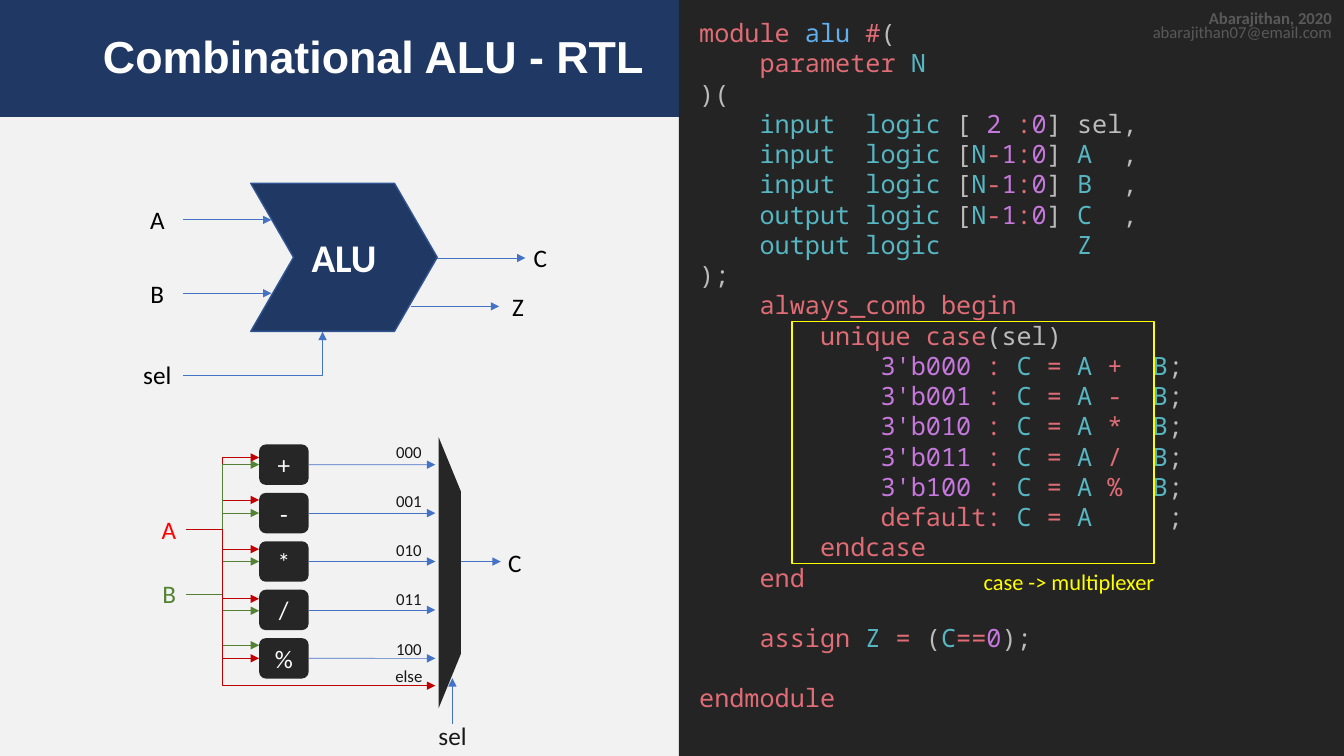
from lxml.etree import SubElement
from pptx import Presentation
from pptx.dml.color import RGBColor
from pptx.enum.shapes import MSO_CONNECTOR, MSO_SHAPE
from pptx.enum.text import MSO_ANCHOR, MSO_AUTO_SIZE, PP_ALIGN
from pptx.oxml.ns import qn
from pptx.util import Cm, Pt

NAVY, DARK, BLUE, RED, GREEN = "203864", "262626", "4472C4", "C00000", "548235"
WHITE, BLACK, INK, YELLOW = "FFFFFF", "000000", "181717", "FFFF00"

CODE_COLOURS = {"r": "E06C75", "b": "61AFEF", "w": "BBBBBB", "t": "56B6C2", "p": "C678DD"}
RANGE = "w: [|t:N|r:-|p:1|r::|p:0|w:] "
OPERATORS = "+-*/%"
CODE = [
    "r:module |b:alu |r:#|w:(",
    "r:    parameter |t:N",
    "w:)(",
    "t:    input  logic|w: [ |p:2 |r::|p:0|w:] sel,",
    f"t:    input  logic|{RANGE}|t:A|w:  ,",
    f"t:    input  logic|{RANGE}|t:B|w:  ,",
    f"t:    output logic|{RANGE}|t:C|w:  ,",
    "t:    output logic         Z",
    "w:);",
    "r:    always_comb begin",
    "r:        unique case|w:(sel)",
    *[f"p:            3'b{number:03b} |r:: |t:C |r:= |t:A |r:{operator}  |t:B|w:;"
      for number, operator in enumerate(OPERATORS)],
    "r:            default: |t:C |r:= |t:A|w:     ;",
    "r:        endcase",
    "r:    end",
    "r:    assign |t:Z |r:=|w: (|t:C|r:==|p:0|w:);",
    "r:endmodule",
]
LINES_AFTER_GAP = CODE[-2:]
CODE_LINE_HEIGHT = Pt(21.6)


def colour(value):
    return RGBColor.from_string(value)


def apply(target, formats):
    for name, value in formats.items():
        setattr(target, name, value)


def add_run(paragraph, text, size, value, font="Calibri", bold=False):
    run = paragraph.add_run()
    run.text = text
    apply(run.font, {"name": font, "size": Pt(size), "bold": bold})
    run.font.color.rgb = colour(value)


def add_block(slide, kind, box, fill=None, line=None):
    shape = slide.shapes.add_shape(kind, *map(Cm, box))
    shape.shadow.inherit = False
    if fill:
        shape.fill.solid()
        shape.fill.fore_color.rgb = colour(fill)
    else:
        shape.fill.background()
    if line:
        shape.line.color.rgb = colour(line)
        shape.line.width = Pt(1)
    else:
        shape.line.fill.background()
    return shape


def add_caption(shape, text, size, bold=False):
    shape.text_frame.vertical_anchor = MSO_ANCHOR.MIDDLE
    paragraph = shape.text_frame.paragraphs[0]
    paragraph.alignment = PP_ALIGN.CENTER
    add_run(paragraph, text, size, WHITE, bold=bold)


def add_label(slide, text, left, top, size=18, value=BLACK, align=PP_ALIGN.CENTER, width=1.57):
    label = slide.shapes.add_textbox(Cm(left), Cm(top), Cm(width), Cm(size * 0.056))
    label.text_frame.word_wrap = True
    paragraph = label.text_frame.paragraphs[0]
    paragraph.alignment = align
    add_run(paragraph, text, size, value)


def add_arrow(slide, start, end, value=BLUE, kind=MSO_CONNECTOR.STRAIGHT, preset=None, bend=None):
    arrow = slide.shapes.add_connector(kind, *map(Cm, (*start, *end)))
    arrow.line.color.rgb = colour(value)
    arrow.line.width = Pt(0.5)
    properties = arrow.element.spPr
    SubElement(properties.find(qn("a:ln")), qn("a:tailEnd"), type="triangle")
    SubElement(properties, qn("a:effectLst"))
    geometry = properties.find(qn("a:prstGeom"))
    if preset:
        geometry.set("prst", preset)
    if bend:
        guides = geometry.find(qn("a:avLst"))
        if guides is None:
            guides = SubElement(geometry, qn("a:avLst"))
        SubElement(guides, qn("a:gd"), name="adj1", fmla=f"val {bend}")
    return arrow


def add_title(slide):
    title = slide.shapes.title
    apply(title, {"left": Cm(2.34), "top": Cm(0), "width": Cm(29.21), "height": Cm(2.95)})
    frame = title.text_frame
    apply(frame, {"auto_size": MSO_AUTO_SIZE.NONE, "vertical_anchor": MSO_ANCHOR.MIDDLE})
    paragraph = frame.paragraphs[0]
    apply(paragraph, {"alignment": PP_ALIGN.LEFT, "line_spacing": 0.9})
    add_run(paragraph, "Combinational ALU - RTL", 32, WHITE, "Arial", True)
    banner = add_block(slide, MSO_SHAPE.RECTANGLE, (0, 0, 33.87, 2.95), NAVY)
    title.element.addprevious(banner.element)


def add_alu_symbol(slide):
    alu = add_block(slide, MSO_SHAPE.CHEVRON, (6.32, 4.62, 4.7, 3.73), NAVY, "325491")
    alu.adjustments[0] = 0.289
    add_caption(alu, "ALU", 28, True)
    for left, y in ((4.62, 5.54), (4.62, 7.39), (11.02, 6.5), (10.36, 7.72)):
        add_arrow(slide, (left, y), (left + 2.22, y))
    add_arrow(slide, (4.62, 9.45), (8.13, 8.36), kind=MSO_CONNECTOR.ELBOW, preset="bentConnector2")
    for text, left, top in (("A", 3.18, 5.03), ("B", 3.18, 6.88), ("sel", 3.18, 8.94),
                            ("C", 12.83, 5.99), ("Z", 12.27, 7.21)):
        add_label(slide, text, left, top)


def add_multiplexer(slide):
    multiplexer = add_block(slide, MSO_SHAPE.FLOWCHART_MANUAL_OPERATION, (7.92, 14.15, 6.83, 0.56), DARK)
    multiplexer.rotation = 270
    for index, operator in enumerate(OPERATORS):
        top = 11.2 + 1.22 * index
        box = add_block(slide, MSO_SHAPE.ROUNDED_RECTANGLE, (6.53, top, 1.25, 1.02), DARK)
        add_caption(box, operator, 18)
        arrow = add_arrow(slide, (7.78, top + 0.51), (10.97, top + 0.51))
        arrow.begin_connect(box, 3)
        add_label(slide, f"{index:03b}", 9.52, 11 + 1.24 * index, 12, INK)
    add_label(slide, "else", 9.52, 16.64, 12, INK)
    add_arrow(slide, (11.61, 14.15), (12.62, 14.15))
    add_arrow(slide, (11.4, 18.24), (11.4, 17.09))
    add_label(slide, "C", 12.19, 13.67)
    add_label(slide, "sel", 10.62, 18.03, value=INK)

    inputs = (
        ("A", 12.83, "FF0000", RED, 13.34, (11.53, 12.6, 13.84, 15.09, 16.59)),
        ("B", 14.45, GREEN, GREEN, 14.99, (11.71, 12.93, 14.15, 15.39, 16.26)),
    )
    for text, top, text_colour, line_colour, start, ends in inputs:
        add_label(slide, text, 3.12, top, value=text_colour, align=PP_ALIGN.RIGHT)
        for end in ends:
            add_arrow(slide, (4.69, start), (6.53, end), line_colour, MSO_CONNECTOR.ELBOW)
    add_arrow(slide, (4.69, 13.34), (10.97, 17.28), RED, MSO_CONNECTOR.ELBOW, bend=14700)


def add_code_panel(slide):
    panel = add_block(slide, MSO_SHAPE.ROUNDED_RECTANGLE, (17.11, 0, 16.76, 19.05), "242424")
    panel.adjustments[0] = 0
    frame = panel.text_frame
    apply(frame, {"vertical_anchor": MSO_ANCHOR.MIDDLE, "margin_left": Cm(0.51),
                  "margin_top": Cm(0.25), "margin_right": Cm(0.25), "margin_bottom": Cm(0.89)})
    for index, line in enumerate(CODE):
        paragraph = frame.add_paragraph() if index else frame.paragraphs[0]
        paragraph.alignment = PP_ALIGN.LEFT
        if line in LINES_AFTER_GAP:
            paragraph.space_before = CODE_LINE_HEIGHT
        for piece in line.split("|"):
            key, _, text = piece.partition(":")
            add_run(paragraph, text, 18, CODE_COLOURS[key], "Noto Sans Mono")
    add_block(slide, MSO_SHAPE.RECTANGLE, (19.96, 8.1, 9.12, 6.1), line=YELLOW)
    add_label(slide, "case -> multiplexer", 21.54, 14.2, 16, YELLOW, PP_ALIGN.RIGHT, 7.8)


def add_credit(slide):
    credit = slide.shapes.add_textbox(Cm(26.82), Cm(0.15), Cm(6.99), Cm(1.02))
    apply(credit.text_frame, {"word_wrap": True, "vertical_anchor": MSO_ANCHOR.BOTTOM})
    paragraph = credit.text_frame.paragraphs[0]
    apply(paragraph, {"alignment": PP_ALIGN.RIGHT, "line_spacing": 0.7})
    add_run(paragraph, "Abarajithan, 2020 ", 11.9, "595959", bold=True)
    add_run(paragraph, "abarajithan07@email.com", 11.9, "595959")


def main():
    presentation = Presentation()
    apply(presentation, {"slide_width": Cm(33.87), "slide_height": Cm(19.05)})
    slide = presentation.slides.add_slide(presentation.slide_layouts[5])
    slide.background.fill.solid()
    slide.background.fill.fore_color.rgb = colour("F2F2F2")
    add_title(slide)
    add_alu_symbol(slide)
    add_multiplexer(slide)
    add_code_panel(slide)
    add_credit(slide)
    presentation.save("out.pptx")


if __name__ == "__main__":
    main()
